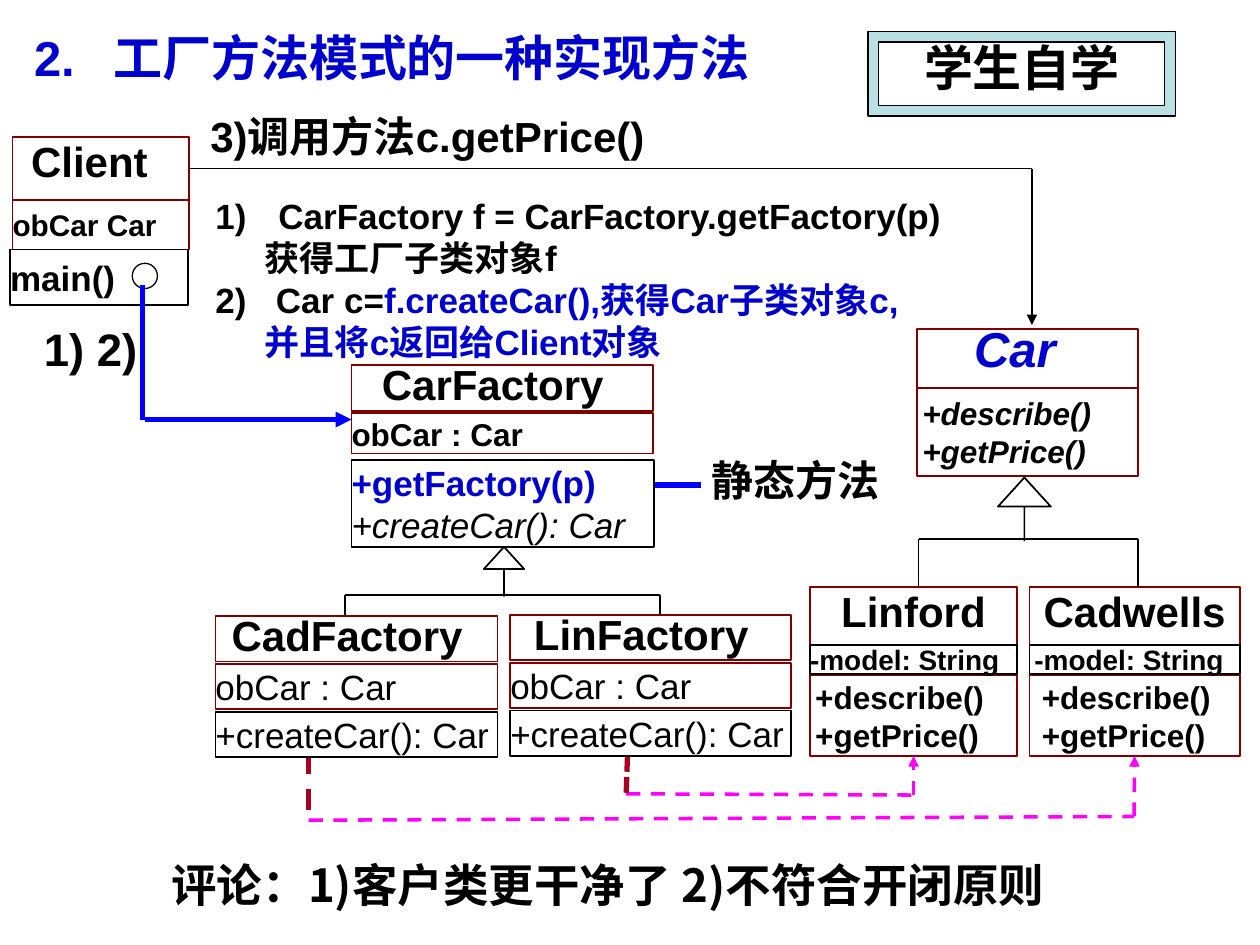
from lxml import etree
from pptx import Presentation
from pptx.dml.color import RGBColor
from pptx.enum.dml import MSO_LINE
from pptx.enum.shapes import MSO_CONNECTOR, MSO_SHAPE
from pptx.enum.text import MSO_ANCHOR, MSO_AUTO_SIZE, PP_ALIGN
from pptx.oxml.ns import qn
from pptx.util import Inches, Pt

COLORS = {"black": "000000", "white": "FFFFFF", "maroon": "800000", "navy": "0000CC", "blue": "0000FF",
          "magenta": "FF00FF", "red": "A50021", "teal": "BBE0E3"}
CJK = "Noto Sans CJK SC"
BOTTOM, RIGHT = 2, 3


def rgb(name):
    return RGBColor.from_string(COLORS[name])


def style_run(r, size, color="black", bold=True, italic=False, font="Arial"):
    r.font.size, r.font.bold, r.font.italic = Pt(size), bold, italic
    r.font.color.rgb = rgb(color)
    r.font.name = font
    etree.SubElement(r._r.get_or_add_rPr(), qn("a:ea")).set("typeface", CJK)


def set_frame(sp, ins, anchor=MSO_ANCHOR.TOP, wrap=True):
    tf = sp.text_frame
    tf.word_wrap, tf.auto_size, tf.vertical_anchor = wrap, MSO_AUTO_SIZE.NONE, anchor
    tf.margin_left, tf.margin_top, tf.margin_right, tf.margin_bottom = map(Inches, ins)
    return tf


def write(sp, lines, size, ins=(0.1, 0.05, 0.1, 0.05), align=PP_ALIGN.LEFT, spacing=None,
          anchor=MSO_ANCHOR.TOP, wrap=True, **style):
    tf = set_frame(sp, ins, anchor, wrap)
    tf.text = "\n".join(lines)
    for p in tf.paragraphs:
        p.alignment = align
        if spacing:
            p.line_spacing = spacing
        for r in p.runs:
            style_run(r, size, **style)
    return tf


def add_text(slide, box, lines, size, **options):
    return write(slide.shapes.add_textbox(*map(Inches, box)), lines, size, **options)


def paint(sp, fill="white", line="black", width=1):
    sp.shadow.inherit = False
    sp.fill.solid()
    sp.fill.fore_color.rgb = rgb(fill)
    sp.line.color.rgb = rgb(line)
    sp.line.width = Pt(width)
    return sp


def add_box(slide, box, lines, size, line="maroon", **options):
    sp = paint(slide.shapes.add_shape(MSO_SHAPE.RECTANGLE, *map(Inches, box)), line=line)
    write(sp, lines, size, **options)
    return sp


def add_line(slide, start, end, color="black", width=1, dash=None, arrow=False):
    cn = slide.shapes.add_connector(MSO_CONNECTOR.STRAIGHT, *map(Inches, start + end))
    cn.line.color.rgb = rgb(color)
    cn.line.width = Pt(width)
    if dash:
        cn.line.dash_style = dash
    if arrow:
        etree.SubElement(cn.line._get_or_add_ln(), qn("a:tailEnd")).set("type", "triangle")
    etree.SubElement(cn._element.spPr, qn("a:effectLst"))
    return cn


def add_inheritance(slide, arrow_box, left, right, top, bottom):
    add_line(slide, (left, top), (right, top))
    for x in (left, right):
        add_line(slide, (x, top), (x, bottom))
    sp = paint(slide.shapes.add_shape(MSO_SHAPE.UP_ARROW, *map(Inches, arrow_box)))
    sp.adjustments[0], sp.adjustments[1] = 0, 0.55


def indent(p, margin, hanging=0, number=None, scheme="arabicParenR"):
    pPr = p._p.get_or_add_pPr()
    pPr.set("marL", str(Inches(margin)))
    pPr.set("indent", str(-Inches(hanging)))
    if number:
        bullet = etree.SubElement(pPr, qn("a:buAutoNum"))
        bullet.set("type", scheme)
        bullet.set("startAt", str(number))


def add_title(slide):
    title = slide.shapes.title
    title.left, title.top, title.width, title.height = map(Inches, (0.17, 0.17, 6.26, 0.57))
    p = write(title, ["2.\t工厂方法模式的一种实现方法"], 28, color="navy").paragraphs[0]
    indent(p, 0.63, 0.63)
    tabs = etree.SubElement(p._p.get_or_add_pPr(), qn("a:tabLst"))
    etree.SubElement(tabs, qn("a:tab"), pos=str(Inches(0.63)), algn="l")


def add_badge(slide, x, y, w, h):
    rim = 0.085
    outer = [(x, y), (x + w, y), (x + w, y + h), (x, y + h)]
    inner = [(x + rim, y + rim), (x + rim, y + h - rim), (x + w - rim, y + h - rim), (x + w - rim, y + rim)]
    fb = slide.shapes.build_freeform(Inches(x), Inches(y))
    for i, ring in enumerate((outer, inner)):
        points = [(Inches(px), Inches(py)) for px, py in ring]
        if i:
            fb.move_to(*points[0])
        fb.add_line_segments(points[1:], close=True)
    sp = paint(fb.convert_to_shape(), "teal", width=0.75)
    write(sp, ["学生自学"], 28, align=PP_ALIGN.CENTER, font=CJK)


def add_client(slide, x, y):
    head = add_box(slide, (x, y, 1.4, 0.5), ["Client"], 24, ins=(0, 0.05, 0.18, 0.05),
                   align=PP_ALIGN.CENTER, spacing=0.85)
    add_box(slide, (x, y + 0.5, 1.4, 0.39), ["obCar Car"], 17, ins=(0, 0.05, 0, 0.05))
    add_box(slide, (x - 0.02, y + 0.89, 1.41, 0.44), ["main()"], 20, line="black",
            ins=(0, 0.05, 0, 0.05), anchor=MSO_ANCHOR.MIDDLE)
    dot = slide.shapes.add_shape(MSO_SHAPE.OVAL, *map(Inches, (x + 0.95, y + 1, 0.2, 0.2)))
    paint(dot, width=0.75)
    return head


def add_car(slide, x, y):
    add_box(slide, (x, y, 1.75, 0.47), ["Car"], 28, ins=(0.1, 0.05, 0.3, 0.05),
            align=PP_ALIGN.CENTER, spacing=0.7, color="navy", italic=True)
    add_box(slide, (x, y + 0.47, 1.75, 0.7), ["+describe()", "+getPrice()"], 18,
            ins=(0.04, 0.05, 0.1, 0.05), italic=True)


def add_product(slide, x, y, w, name, model_inset, method_inset):
    add_box(slide, (x, y, w, 0.46), [name], 24, ins=(0, 0.05, 0, 0.05), align=PP_ALIGN.CENTER, spacing=0.85)
    methods = add_box(slide, (x, y + 0.7, w, 0.64), ["+describe()", "+getPrice()"], 18,
                      ins=(method_inset, 0.02, 0, 0.02))
    add_box(slide, (x, y + 0.46, w, 0.23), ["-model: String"], 16, line="black",
            ins=(model_inset, 0.05, 0, 0.05), anchor=MSO_ANCHOR.MIDDLE)
    return methods


def add_factory_head(slide, x, y, w, name):
    add_box(slide, (x, y, w, 0.36), [name], 24, ins=(0, 0.01, 0.15, 0.01), align=PP_ALIGN.CENTER, spacing=0.85)


def add_base_factory(slide, x, y, w):
    thin = (0, 0.01, 0, 0.01)
    add_factory_head(slide, x, y, w, "CarFactory")
    add_box(slide, (x, y + 0.38, w, 0.32), ["obCar : Car"], 18, ins=thin)
    sp = add_box(slide, (x, y + 0.75, w + 0.01, 0.69), ["+getFactory(p)", "+createCar(): Car"], 20,
                 line="black", ins=thin, anchor=MSO_ANCHOR.MIDDLE, color="navy")
    font = sp.text_frame.paragraphs[1].runs[0].font
    font.bold, font.italic, font.color.rgb = False, True, rgb("black")


def add_sub_factory(slide, x, y, w, name):
    thin = (0, 0.01, 0, 0.01)
    add_factory_head(slide, x, y, w, name)
    for i, (text, line) in enumerate([("obCar : Car", "maroon"), ("+createCar(): Car", "black")], 1):
        add_box(slide, (x, y + 0.38 * i, w, 0.36), [text], 20, line=line, ins=thin,
                anchor=MSO_ANCHOR.MIDDLE, bold=False)


def add_steps(slide, box):
    tf = add_text(slide, box, ["CarFactory f = CarFactory.getFactory(p)", "获得工厂子类对象f", "Car c=",
                               "并且将c返回给Client对象"], 20, ins=(0, 0, 0, 0))
    first, first_note, second, second_note = tf.paragraphs
    r = second.add_run()
    r.text = "f.createCar(),获得Car子类对象c,"
    style_run(r, 20, "navy")
    second_note.runs[0].font.color.rgb = rgb("black")
    for r in second_note.runs:
        r.font.color.rgb = rgb("navy")
    indent(first, 0.5, 0.5, 1)
    indent(second, 0.48, 0.48, 2)
    for p in (first_note, second_note):
        indent(p, 0.39)


def add_creation(slide, source, corner, end, product, dash):
    add_line(slide, corner, end, "magenta", 2, MSO_LINE.DASH)
    up = add_line(slide, end, (end[0], 6.02), "magenta", 2, MSO_LINE.DASH, arrow=True)
    up.end_connect(product, BOTTOM)
    add_line(slide, source, corner, "red", 3, dash)


def main():
    prs = Presentation()
    prs.slide_width, prs.slide_height = Inches(10), Inches(7.5)
    slide = prs.slides.add_slide(prs.slide_layouts[5])
    add_title(slide)
    add_car(slide, 7.28, 2.61)
    linford = add_product(slide, 6.43, 4.66, 1.64, "Linford", 0, 0.04)
    cadwells = add_product(slide, 8.17, 4.66, 1.67, "Cadwells", 0.04, 0.1)
    add_inheritance(slide, (7.92, 3.79, 0.42, 0.5), 7.29, 9.03, 4.28, 4.66)
    client = add_client(slide, 0.1, 1.09)
    add_steps(slide, (1.71, 1.54, 6.21, 1.33))
    add_creation(slide, (2.45, 5.68), (2.45, 6.51), (9, 6.48), cadwells, MSO_LINE.DASH)
    add_creation(slide, (4.98, 6), (4.97, 6.3), (7.25, 6.31), linford, MSO_LINE.SQUARE_DOT)
    add_text(slide, (5.55, 3.56, 1.53, 0.5), ["静态方法"], 24, wrap=False, font=CJK)
    add_line(slide, (5.56, 3.85), (4.96, 3.85), "blue", 3, arrow=True)
    add_line(slide, (1.5, 1.34), (8.19, 1.34), width=0.75).begin_connect(client, RIGHT)
    add_line(slide, (8.19, 1.34), (8.19, 2.58), width=0.75, arrow=True)
    add_text(slide, (1.67, 0.92, 3.75, 0.36), ["3)调用方法c.getPrice()"], 24, ins=(0, 0, 0, 0), spacing=0.9)
    add_base_factory(slide, 2.79, 2.9, 2.39)
    add_inheritance(slide, (3.84, 4.34, 0.32, 0.39), 2.74, 5.24, 4.72, 4.89)
    add_sub_factory(slide, 1.71, 4.89, 2.24, "CadFactory")
    add_sub_factory(slide, 4.05, 4.88, 2.23, "LinFactory")
    add_line(slide, (1.15, 3.33), (2.79, 3.33), "blue", 3, arrow=True)
    add_line(slide, (1.13, 2.26), (1.13, 3.33), "blue", 3)
    add_text(slide, (0.67, 6.75, 8.31, 0.54), ["评论：1)客户类更干净了 2)不符合开闭原则"], 26,
             align=PP_ALIGN.CENTER, font=CJK)
    add_text(slide, (0.25, 2.5, 1, 0.54), ["1) 2)"], 26)
    add_badge(slide, 6.89, 0.25, 2.44, 0.67)
    prs.save("out.pptx")


if __name__ == "__main__":
    main()
